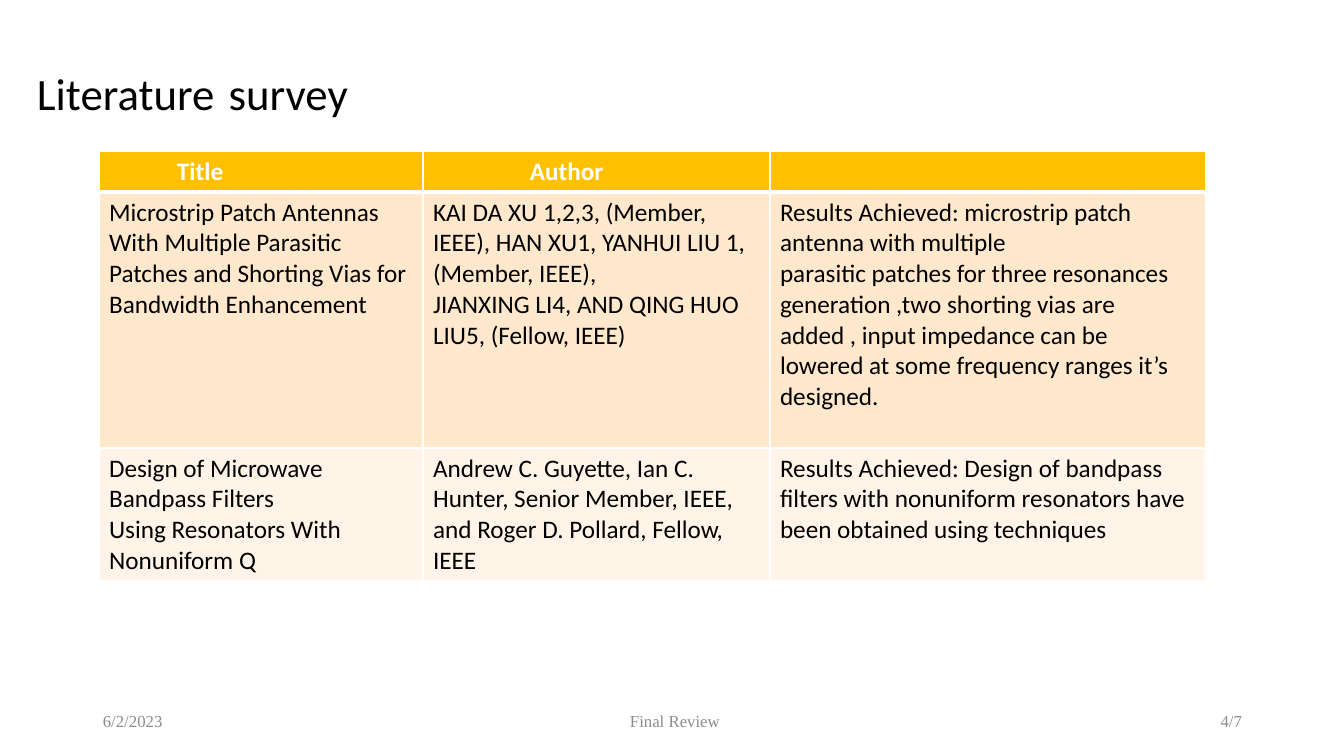
from lxml.etree import SubElement
from pptx import Presentation
from pptx.dml.color import RGBColor
from pptx.enum.text import MSO_ANCHOR, PP_ALIGN
from pptx.oxml import parse_xml
from pptx.oxml.ns import nsdecls
from pptx.util import Emu, Pt

COLORS = {"ink": "000000", "white": "FFFFFF", "footer": "8C8C8C",
          "header": "FFC000", "odd": "FFE8CC", "even": "FFF4E7"}
SCALE = 12192000 / 1344


def px(n):
    return Emu(round(n * SCALE))


def add_run(p, text, size, font, color, bold=False):
    r = p.add_run()
    r.text = text
    r.font.size = Pt(size)
    r.font.name = font
    r.font.bold = bold
    r.font.color.rgb = RGBColor.from_string(COLORS[color])


prs = Presentation()
prs.slide_width, prs.slide_height = px(1344), px(756)
s = prs.slides.add_slide(prs.slide_layouts[6])

LEFT, CENTER, RIGHT = PP_ALIGN.LEFT, PP_ALIGN.CENTER, PP_ALIGN.RIGHT
title = [("Literature", 32), (" ", 44), ("survey", 32)]
boxes = [
    (27, 18, 1159, 146, LEFT, 0.9, "Calibri", "ink", title),
    (93, 701, 302, 40, LEFT, 1.0, "Times New Roman", "footer", [("6/2/2023", 12)]),
    (448, 701, 454, 40, CENTER, 1.0, "Times New Roman", "footer", [("Final Review", 12)]),
    (950, 701, 302, 40, RIGHT, 1.0, "Times New Roman", "footer", [("4/7", 12)]),
]
for x, y, w, h, align, spacing, font, color, runs in boxes:
    tf = s.shapes.add_textbox(px(x), px(y), px(w), px(h)).text_frame
    tf.word_wrap = True
    tf.vertical_anchor = MSO_ANCHOR.MIDDLE
    p = tf.paragraphs[0]
    p.alignment = align
    p.line_spacing = spacing
    for text, size in runs:
        add_run(p, text, size, font, color)

rows = [
    [["Title"], ["Author"], []],
    [["Microstrip Patch Antennas With Multiple Parasitic Patches and Shorting Vias "
      "for Bandwidth Enhancement"],
     ["KAI DA XU 1,2,3, (Member, IEEE), HAN XU1, YANHUI LIU 1, (Member, IEEE),",
      "JIANXING LI4, AND QING HUO LIU5, (Fellow, IEEE)"],
     ["Results Achieved: microstrip patch antenna with multiple",
      "parasitic patches for three resonances generation ,two shorting vias are "
      "added , input impedance can be",
      "lowered at some frequency ranges it’s designed."]],
    [["Design of Microwave Bandpass Filters", "Using Resonators With Nonuniform Q"],
     ["Andrew C. Guyette, Ian C. Hunter, Senior Member, IEEE, and Roger D. Pollard, "
      "Fellow, IEEE"],
     ["Results Achieved: Design of bandpass filters with nonuniform resonators have "
      "been obtained using techniques"]],
]
col_widths = [324, 347, 436]
row_heights = [41, 256, 133]
row_fills = ["header", "odd", "even"]
header_indents = [78, 107, 10]

table = s.shapes.add_table(3, 3, px(99), px(151), px(sum(col_widths)),
                           px(sum(row_heights))).table
for col, width in zip(table.columns, col_widths):
    col.width = px(width)
for i, row in enumerate(rows):
    is_header = i == 0
    table.rows[i].height = px(row_heights[i])
    for j, paragraphs in enumerate(row):
        cell = table.cell(i, j)
        if is_header:
            cell.margin_left = px(header_indents[j])
        tcPr = cell._tc.get_or_add_tcPr()
        for side in "LRTB":
            thick = (side == "B" and is_header) or (side == "T" and i == 1)
            ln = parse_xml(f'<a:ln{side} {nsdecls("a")} w="{Pt(3 if thick else 1)}"/>')
            fill = SubElement(ln, ln.tag.replace(f"ln{side}", "solidFill"))
            SubElement(fill, fill.tag.replace("solidFill", "srgbClr"), val=COLORS["white"])
            tcPr.append(ln)
        cell.fill.solid()
        cell.fill.fore_color.rgb = RGBColor.from_string(COLORS[row_fills[i]])
        tf = cell.text_frame
        for k, text in enumerate(paragraphs):
            p = tf.add_paragraph() if k else tf.paragraphs[0]
            add_run(p, text, 18, "Calibri", "white" if is_header else "ink", is_header)

prs.save("out.pptx")
